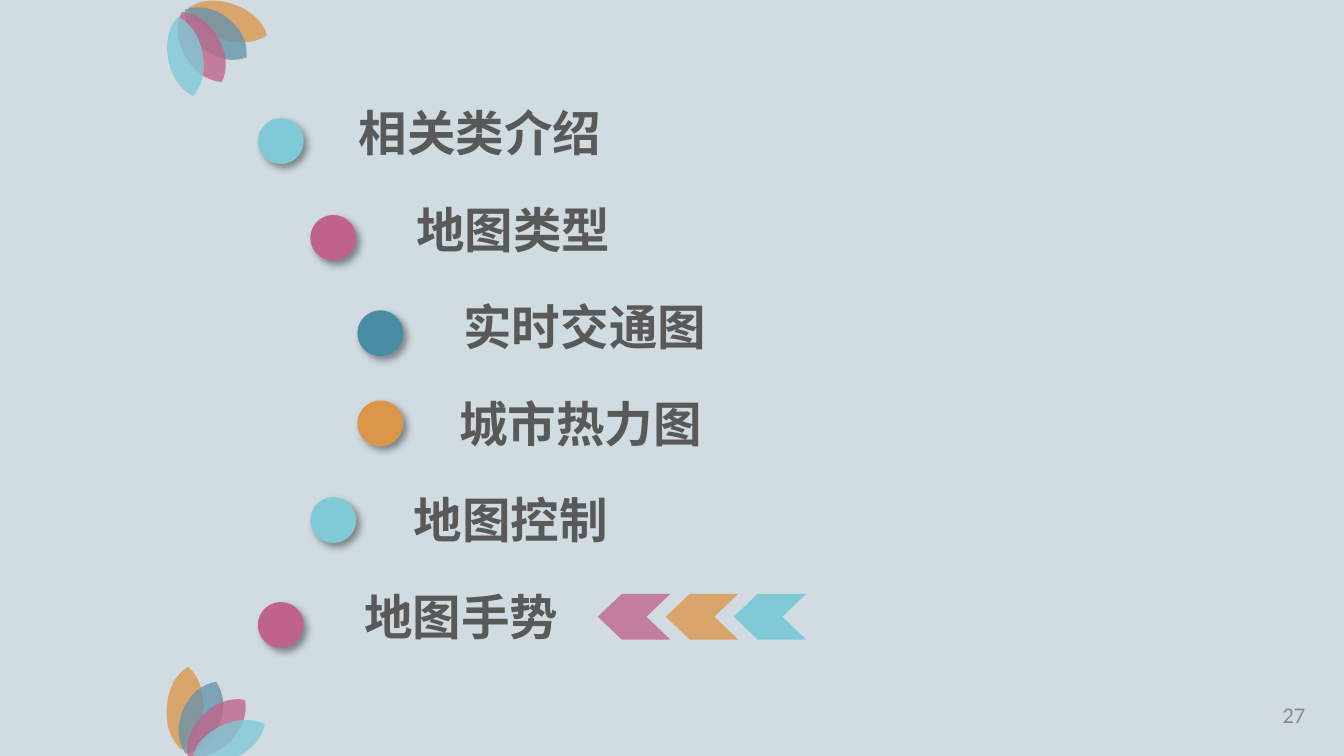
import lxml.etree
import pptx
import pptx.dml.color
import pptx.enum.shapes
import pptx.enum.text
import pptx.oxml
import pptx.oxml.ns
import pptx.util

Pt = pptx.util.Pt
qn = pptx.oxml.ns.qn
SHAPES = pptx.enum.shapes.MSO_SHAPE
ALIGN = pptx.enum.text.PP_ALIGN

AQUA, PINK, TEAL, ORANGE = "80CAD7", "BF638A", "498DA4", "DB9649"
PETAL_COLORS = [ORANGE, "6694AB", PINK, AQUA]
ROW_STEP = 51.84

# label, label left, dot left, dot top, dot colour
TOPICS = [
    ("相关类介绍", 185, 138.2, 63.4, AQUA),
    ("地图类型", 216, 166.3, 115.2, PINK),
    ("实时交通图", 241.2, 191.5, 166.3, TEAL),
    ("城市热力图", 239, 191.5, 214.6, ORANGE),
    ("地图控制", 214.6, 166.3, 266.4, AQUA),
    ("地图手势", 188, 138.2, 322.6, PINK),
]

# left, top, width, height, rotation of each petal before turning
BOTTOM_FLOWER = [
    (89.3, 357.1, 19.4, 44.6, 184.3),
    (97.2, 363.6, 20.9, 41.8, 22.9),
    (105.8, 368.6, 20.2, 43.2, 45.3),
    (113, 375.8, 18.7, 43.2, 64.3),
]
TOP_FLOWER = [
    (112.3, -10.8, 19.4, 44.6, 289.1),
    (105.1, -2.9, 20.9, 41.8, 127.7),
    (97.9, 3.6, 20.2, 43.2, 150.1),
    (90, 8.6, 18.7, 43.2, 169.2),
]

# Bezier points of the left edge of a petal, tip to base, in a unit box
LEFT_EDGE = [(0.5, 0), (0.18, 0.1), (0, 0.28), (0, 0.5), (0, 0.72), (0.18, 0.9), (0.5, 1)]
PETAL_OUTLINE = LEFT_EDGE + [(1 - x, y) for x, y in LEFT_EDGE[-2::-1]]


def rgb(color):
    return pptx.dml.color.RGBColor.from_string(color)


def paint(shape, color):
    shape.shadow.inherit = False
    shape.fill.solid()
    shape.fill.fore_color.rgb = rgb(color)
    shape.line.fill.background()


def curve_edges(shape):
    """Turn each three line segments of a freeform into one Bezier curve."""
    outline = shape.element.find(".//" + qn("a:path"))
    lines = outline.findall(qn("a:lnTo"))
    for first in range(0, len(lines), 3):
        curve = lxml.etree.Element(qn("a:cubicBezTo"))
        lines[first].addprevious(curve)
        for line in lines[first:first + 3]:
            curve.append(line[0])
            outline.remove(line)


def add_petal(slide, left, top, width, height, rotation, color):
    points = [(Pt(left + x * width), Pt(top + y * height)) for x, y in PETAL_OUTLINE]
    builder = slide.shapes.build_freeform(*points[0])
    builder.add_line_segments(points[1:], close=True)
    petal = builder.convert_to_shape()
    curve_edges(petal)
    petal.rotation = rotation
    paint(petal, color)
    fill_color = petal.element.spPr.find(qn("a:solidFill"))[0]
    lxml.etree.SubElement(fill_color, qn("a:alpha"), val="78000")


def add_dot(slide, left, top, color):
    dot = slide.shapes.add_shape(SHAPES.OVAL, Pt(left), Pt(top), Pt(24.5), Pt(24.5))
    paint(dot, color)
    effects = dot.element.spPr.find(qn("a:effectLst"))
    shadow = lxml.etree.SubElement(
        effects, qn("a:outerShdw"), blurRad=str(Pt(4)), dist=str(Pt(3)),
        dir="2700000", algn="tl", rotWithShape="0")
    shadow_color = lxml.etree.SubElement(shadow, qn("a:srgbClr"), val="000000")
    lxml.etree.SubElement(shadow_color, qn("a:alpha"), val="40000")


def add_chevron(slide, left, color):
    chevron = slide.shapes.add_shape(
        SHAPES.CHEVRON, Pt(left), Pt(318.2), Pt(38.9), Pt(24.5))
    chevron.adjustments[0] = 0.525
    chevron.element.spPr.find(qn("a:xfrm")).set("flipH", "1")
    paint(chevron, color)


def add_text(slide, text, box, size, font, color, bold=False, align=ALIGN.LEFT):
    frame = slide.shapes.add_textbox(*(Pt(length) for length in box)).text_frame
    frame.word_wrap = True
    paragraph = frame.paragraphs[0]
    paragraph.text = text
    paragraph.alignment = align
    paragraph.font.size = Pt(size)
    paragraph.font.bold = bold
    paragraph.font.name = font
    paragraph.font.color.rgb = rgb(color)
    latin = frame._txBody.find(".//" + qn("a:latin"))
    east_asian = lxml.etree.Element(qn("a:ea"), typeface=font)
    latin.addnext(east_asian)
    return frame


def main():
    deck = pptx.Presentation()
    deck.slide_width, deck.slide_height = Pt(720), Pt(405)
    slide = deck.slides.add_slide(deck.slide_layouts[6])
    slide.background.fill.solid()
    slide.background.fill.fore_color.rgb = rgb("D1DCE2")

    for flower in (BOTTOM_FLOWER, TOP_FLOWER):
        for petal, color in zip(flower, PETAL_COLORS):
            add_petal(slide, *petal, color)

    for row, (label, label_left, dot_left, dot_top, color) in enumerate(TOPICS, 1):
        add_text(slide, label, (label_left, row * ROW_STEP, 283.7, 38.9),
                 26, "Noto Sans CJK SC", "595959", bold=True)
        add_dot(slide, dot_left, dot_top, color)

    for position, color in enumerate([AQUA, "D9A56B", "C37D9E"]):
        add_chevron(slide, 393.1 - 36.4 * position, color)

    page_number = add_text(slide, "27", (654.5, 372.2, 51.8, 21.6),
                           12, "Calibri", "898989", align=ALIGN.RIGHT)
    page_number.vertical_anchor = pptx.enum.text.MSO_ANCHOR.MIDDLE

    deck.save("out.pptx")


if __name__ == "__main__":
    main()
